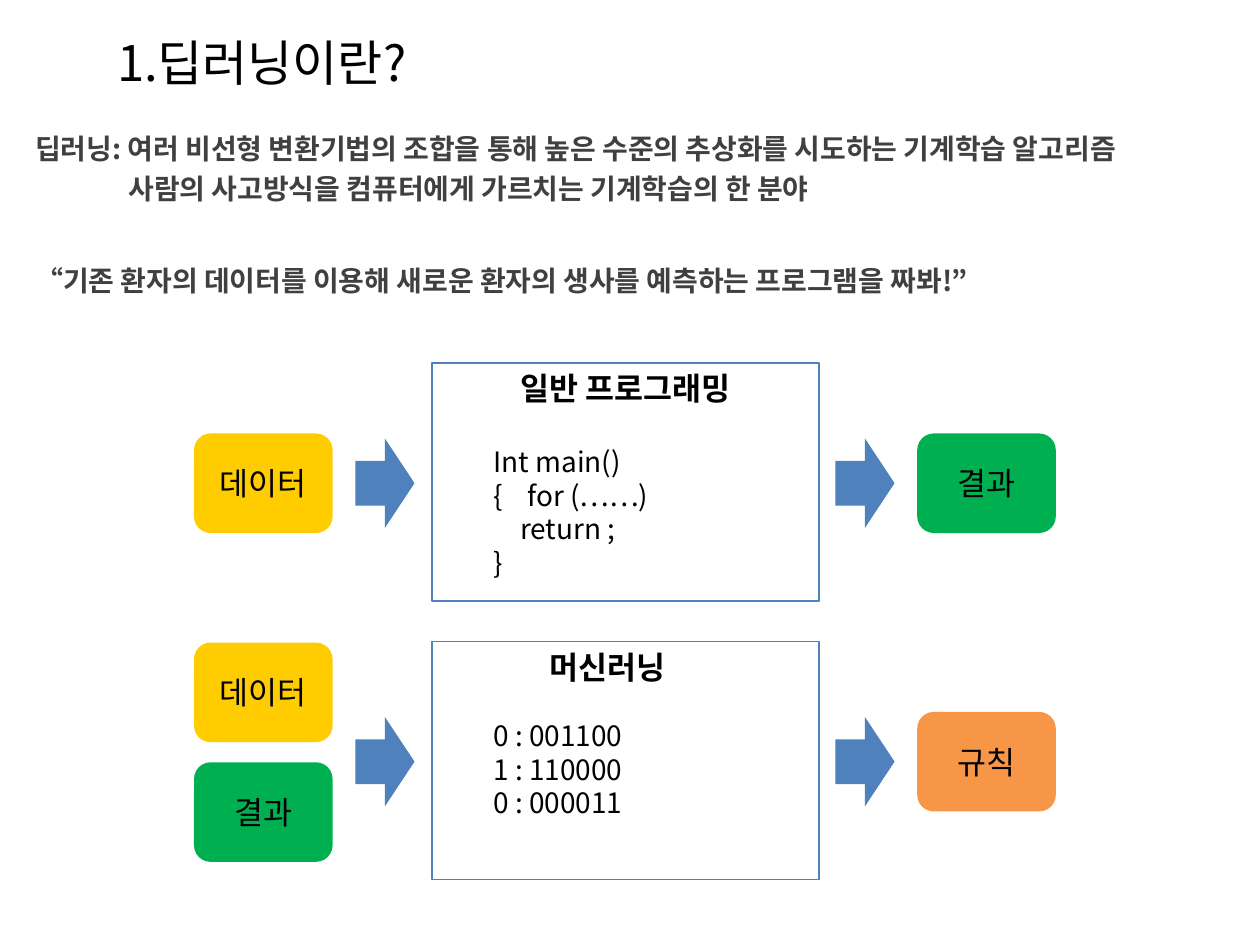
from dataclasses import dataclass

from lxml.etree import SubElement
from pptx import Presentation
from pptx.dml.color import RGBColor
from pptx.enum.shapes import MSO_SHAPE
from pptx.enum.text import MSO_ANCHOR, PP_ALIGN
from pptx.oxml.ns import qn
from pptx.util import Inches, Pt


@dataclass(frozen=True)
class Theme:
    font: str = "Noto Sans CJK KR"
    black: str = "000000"
    gray: str = "404040"
    blue: str = "4F81BD"
    yellow: str = "FFCC00"
    green: str = "00B050"
    orange: str = "F79646"
    title_size: int = 28
    label_size: int = 18
    body_size: int = 16


THEME = Theme()
ROW_STEP = 2.21


def format_paragraph(paragraph, size, color=THEME.black, bold=False, align=PP_ALIGN.LEFT):
    paragraph.alignment = align
    for run in paragraph.runs:
        font = run.font
        font.name = THEME.font
        font.size = Pt(size)
        font.bold = bold
        font.color.rgb = RGBColor.from_string(color)
        SubElement(font._element, qn("a:ea"), typeface=THEME.font)


def indent_paragraph(paragraph, left, first=0):
    properties = paragraph._p.get_or_add_pPr()
    properties.set("marL", str(Inches(left)))
    properties.set("indent", str(Inches(first)))


def add_title(slide, text):
    title = slide.shapes.title
    title.left, title.top = Inches(0.83), Inches(0.21)
    title.width, title.height = Inches(7.48), Inches(0.57)
    title.text_frame.text = text
    title.text_frame.vertical_anchor = MSO_ANCHOR.MIDDLE
    format_paragraph(title.text_frame.paragraphs[0], THEME.title_size)


def add_statement(slide, top, height, lines):
    box = slide.shapes.add_textbox(Inches(0.28), Inches(top), Inches(9.45), Inches(height))
    frame = box.text_frame
    frame.word_wrap = True
    frame.margin_left = frame.margin_right = frame.margin_top = frame.margin_bottom = 0
    for index, (text, left) in enumerate(lines):
        paragraph = frame.paragraphs[0] if index == 0 else frame.add_paragraph()
        paragraph.text = text
        paragraph.line_spacing = 1.2
        format_paragraph(paragraph, THEME.body_size, THEME.gray, bold=True)
        indent_paragraph(paragraph, left)


def add_block(slide, kind, left, top, width, height, fill=None):
    shape = slide.shapes.add_shape(
        kind, Inches(left), Inches(top), Inches(width), Inches(height)
    )
    shape.shadow.inherit = False
    if fill:
        shape.fill.solid()
        shape.fill.fore_color.rgb = RGBColor.from_string(fill)
        shape.line.fill.background()
    else:
        shape.fill.background()
        shape.line.color.rgb = RGBColor.from_string(THEME.blue)
        shape.line.width = Pt(0.75)
    return shape


def add_label(slide, left, top, text, fill):
    shape = add_block(slide, MSO_SHAPE.ROUNDED_RECTANGLE, left, top, 1.1, 0.79, fill)
    shape.text_frame.text = text
    shape.text_frame.vertical_anchor = MSO_ANCHOR.MIDDLE
    format_paragraph(shape.text_frame.paragraphs[0], THEME.label_size, align=PP_ALIGN.CENTER)


def add_program(slide, top, heading, heading_indent, gap, code):
    shape = add_block(slide, MSO_SHAPE.RECTANGLE, 3.43, top, 3.07, 1.89)
    frame = shape.text_frame
    frame.word_wrap = True
    frame.vertical_anchor = MSO_ANCHOR.TOP
    title = frame.paragraphs[0]
    title.text = heading
    title.space_after = Pt(gap)
    align = PP_ALIGN.LEFT if heading_indent else PP_ALIGN.CENTER
    format_paragraph(title, THEME.label_size, bold=True, align=align)
    indent_paragraph(title, heading_indent)
    for text, left, first in code:
        paragraph = frame.add_paragraph()
        paragraph.text = text
        format_paragraph(paragraph, THEME.body_size)
        indent_paragraph(paragraph, left, first)


def add_arrows(slide, top):
    for left in (2.82, 6.63):
        add_block(slide, MSO_SHAPE.RIGHT_ARROW, left, top, 0.47, 0.71, THEME.blue)


def add_flow(slide, top, program, inputs, output):
    add_program(slide, top, *program)
    for offset, text, fill in inputs:
        add_label(slide, 1.54, top + offset, text, fill)
    add_label(slide, 7.28, top + 0.56, *output)
    add_arrows(slide, top + 0.6)


def main():
    presentation = Presentation()
    presentation.slide_width, presentation.slide_height = Inches(10), Inches(7.5)
    slide = presentation.slides.add_slide(presentation.slide_layouts[5])
    add_title(slide, "1.딥러닝이란?")

    data, result = ("데이터", THEME.yellow), ("결과", THEME.green)
    code = [
        ("Int main()", 0.39, 0),
        ("{\tfor (……)", 0.66, -0.27),
        ("return ;", 0.6, 0),
        ("}", 0.39, 0),
    ]
    patterns = [(text, 0.39, 0) for text in ("0 : 001100", "1 : 110000", "0 : 000011")]
    add_flow(slide, 2.88, ("일반 프로그래밍", 0, 21.5, code), [(0.56, *data)], result)
    add_flow(
        slide,
        2.88 + ROW_STEP,
        ("머신러닝", 0.83, 19, patterns),
        [(0.01, *data), (0.96, *result)],
        ("규칙", THEME.orange),
    )

    add_statement(slide, 0.99, 0.65, [
        ("딥러닝: 여러 비선형 변환기법의 조합을 통해 높은 수준의 추상화를 시도하는 기계학습 알고리즘", 0),
        ("사람의 사고방식을 컴퓨터에게 가르치는 기계학습의 한 분야", 0.74),
    ])
    add_statement(slide, 2.04, 0.3, [
        ("“기존 환자의 데이터를 이용해 새로운 환자의 생사를 예측하는 프로그램을 짜봐!”", 0),
    ])
    presentation.save("out.pptx")


if __name__ == "__main__":
    main()
